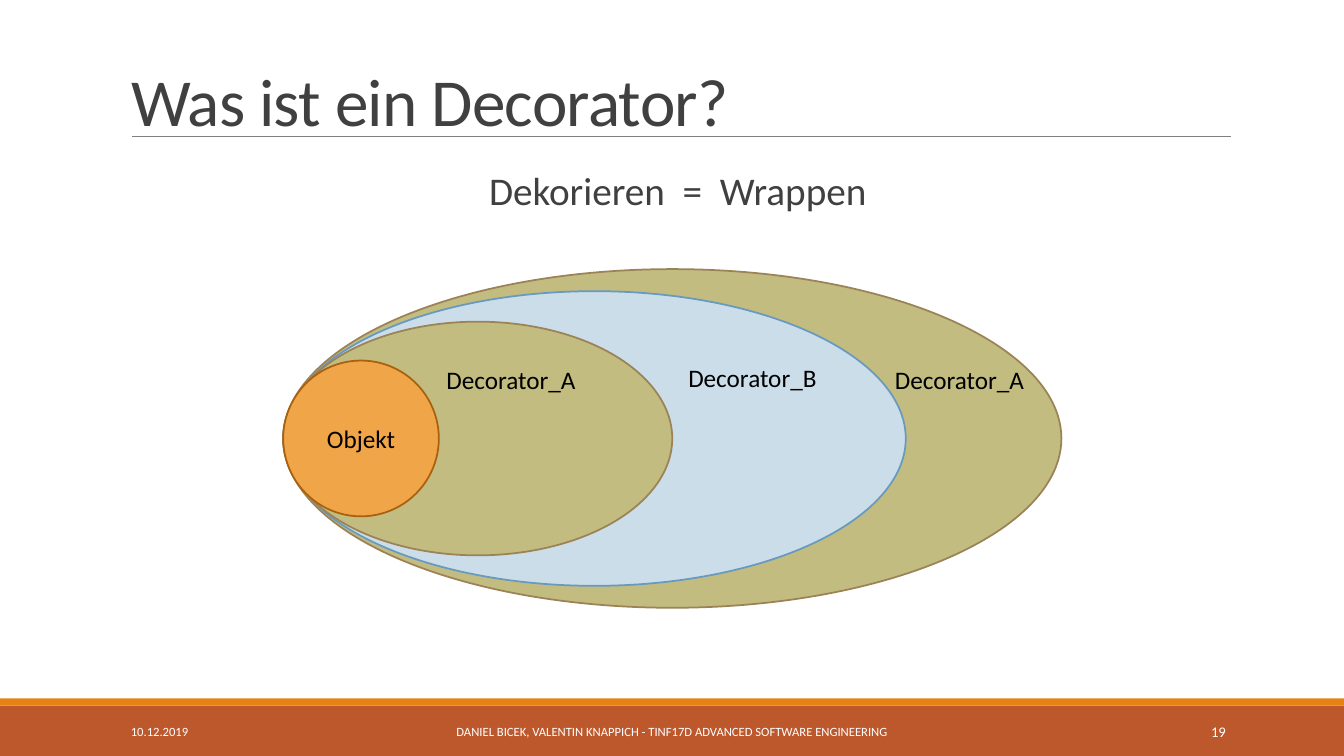
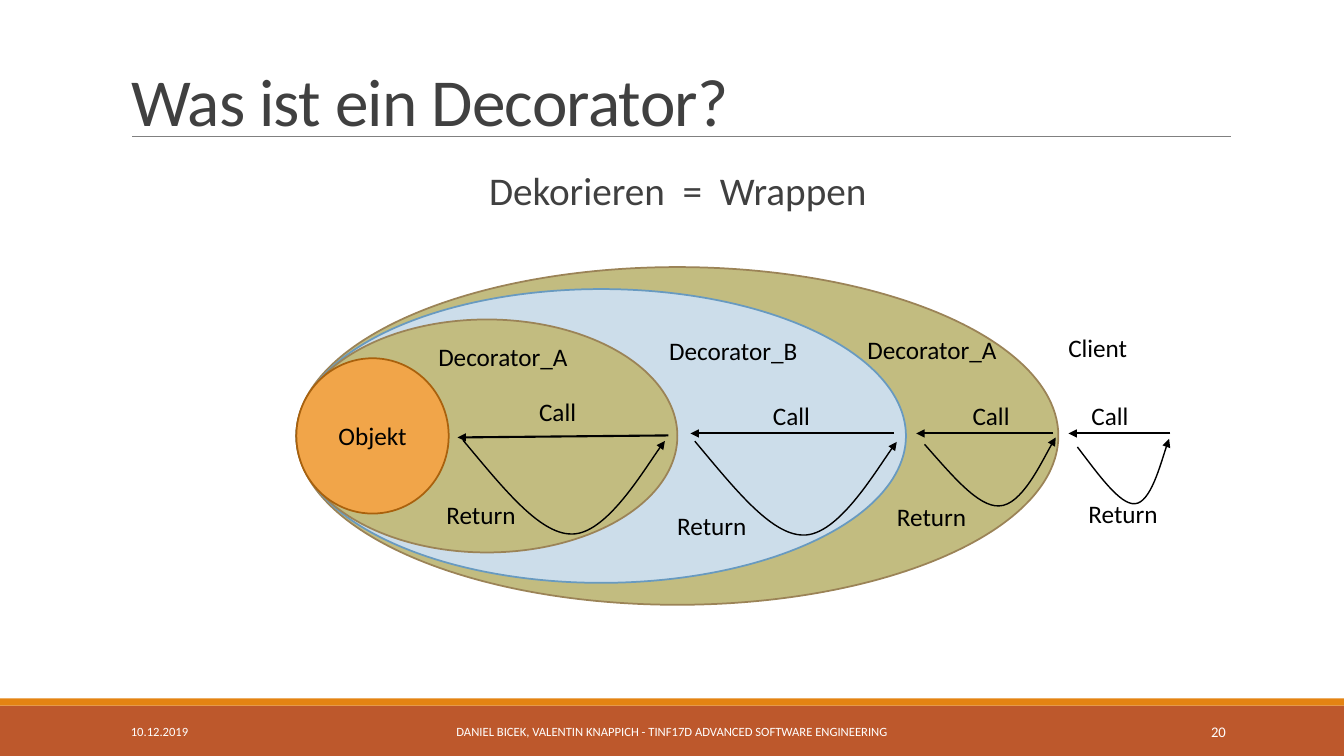
from dataclasses import dataclass

from lxml import etree
from pptx import Presentation
from pptx.dml.color import RGBColor
from pptx.enum.shapes import MSO_CONNECTOR, MSO_SHAPE
from pptx.enum.text import MSO_ANCHOR, MSO_AUTO_SIZE, PP_ALIGN
from pptx.oxml.ns import qn
from pptx.util import Emu, Inches, Pt

STRAIGHT = MSO_CONNECTOR.STRAIGHT
OVAL, RECTANGLE = MSO_SHAPE.OVAL, MSO_SHAPE.RECTANGLE
TOP, MIDDLE, BOTTOM = MSO_ANCHOR.TOP, MSO_ANCHOR.MIDDLE, MSO_ANCHOR.BOTTOM
LEFT, CENTER, RIGHT = PP_ALIGN.LEFT, PP_ALIGN.CENTER, PP_ALIGN.RIGHT
COLUMNS, ROWS = 80, 45
UNIT = Inches(7.5) / ROWS


@dataclass(frozen=True)
class Theme:
    font: str = "Calibri"
    heading: str = "404040"
    text: str = "000000"
    white: str = "FFFFFF"
    rule: str = "808080"
    band: str = "BD582C"
    accent: str = "E48312"
    olive: tuple = ("C2BC80", "9B8357")
    blue: tuple = ("CCDDEA", "689AC0")
    orange: tuple = ("F1A549", "A9610D")
    title_size: float = 48
    body_size: float = 28
    label_size: float = 18
    number_size: float = 10.5
    footer_size: float = 9


@dataclass(frozen=True)
class Box:
    left: float
    top: float
    width: float
    height: float

    def inner(self, column, row, width, height):
        return Box(self.left + column, self.top + row, width, height)

    def emu(self):
        return [grid(value) for value in (self.left, self.top, self.width, self.height)]


THEME = Theme()
TITLE = "Was ist ein Decorator?"
STATEMENT = "Dekorieren  =  Wrappen"
DATE = "10.12.2019"
FOOTER = "DANIEL BICEK, VALENTIN KNAPPICH - TINF17D ADVANCED SOFTWARE ENGINEERING"
FOOTER_ROW = Box(7.2, 42.36, 66.36, 2.4)

LAYERS = [
    (1, 1, THEME.olive),
    (0.8, 0.87, THEME.blue),
    (0.5, 0.69, THEME.olive),
    (0.2, 0.46, THEME.orange),
]
WRAP_BOX = Box(16.86, 16.02, 46.32, 20.16)
WRAP_LABELS = [
    ("Decorator_A", 9.12, 5.4),
    ("Decorator_B", 23.52, 5.28),
    ("Decorator_A", 35.82, 5.4),
]
CALL_BOX = Box(17.64, 15.9, 45.36, 20.1)
CALL_LABELS = [
    ("Decorator_A", 7.86, 4.14),
    ("Decorator_B", 21.6, 3.78),
    ("Decorator_A", 33.4, 3.72),
    ("Client", 45.36, 3.6),
]
CALLS = [
    ((22.14, 10.02, 9.6, 10.14), (10.08, 9.96, 12, 6), -3.2, (13.86, 7.38), (8.34, 13.5)),
    ((35.58, 9.9, 23.46, 9.9), (23.88, 10.02, 12, 6), -3.2, (27.78, 7.62), (22.08, 14.16)),
    ((45.06, 9.9, 36.9, 9.9), (37.62, 10.08, 7.8, 4.2), -6.7, (39.66, 7.62), (35.16, 13.62)),
    ((52.02, 9.9, 45.96, 9.9), (46.8, 10.2, 5.46, 3.96), -10, (46.74, 7.62), (46.56, 13.44)),
]
RETURN_CURVE = [
    (0, 0), (0.18, 0.48), (0.35, 0.97), (0.51, 0.99), (0.68, 1.02), (0.92, 0.3), (1, 0.12),
]


def grid(value):
    return Emu(round(value * UNIT))


def color(value):
    return RGBColor.from_string(value)


def write(shape, text, size=THEME.label_size, ink=THEME.text, align=LEFT, anchor=TOP,
          line_spacing=None, before=0, after=0, tracking=None):
    frame = shape.text_frame
    frame.word_wrap = True
    frame.auto_size = MSO_AUTO_SIZE.NONE
    frame.vertical_anchor = anchor
    paragraph = frame.paragraphs[0]
    paragraph.alignment = align
    paragraph.line_spacing = line_spacing
    paragraph.space_before, paragraph.space_after = Pt(before), Pt(after)
    run = paragraph.add_run()
    run.text = text
    run.font.name, run.font.size = THEME.font, Pt(size)
    run.font.color.rgb = color(ink)
    if tracking is not None:
        run.font._element.set("spc", str(tracking))
    return paragraph


def add_text(slide, box, text, **text_format):
    shape = slide.shapes.add_textbox(*box.emu())
    write(shape, text, **text_format)
    return shape


def add_filled(slide, kind, box, fill, outline=None):
    shape = slide.shapes.add_shape(kind, *box.emu())
    shape.shadow.inherit = False
    shape.fill.solid()
    shape.fill.fore_color.rgb = color(fill)
    if outline:
        shape.line.color.rgb = color(outline)
        shape.line.width = Pt(1.25)
    else:
        shape.line.fill.background()
    return shape


def add_line(slide, start, end, ink, width):
    connector = slide.shapes.add_connector(
        STRAIGHT, *[grid(value) for value in (*start, *end)])
    connector.line.color.rgb = color(ink)
    connector.line.width = Pt(width)
    properties = connector.element.find(qn("p:spPr"))
    etree.SubElement(properties, qn("a:effectLst"))
    return connector


def add_arrowhead(shape):
    outline = shape.element.find(qn("p:spPr")).find(qn("a:ln"))
    etree.SubElement(outline, qn("a:tailEnd"), type="triangle")


def add_curve(slide, box, points, rotation):
    corners = [(grid(box.left + x * box.width), grid(box.top + y * box.height))
               for x, y in points]
    builder = slide.shapes.build_freeform(*corners[0])
    builder.add_line_segments(corners[1:], close=False)
    shape = builder.convert_to_shape()
    outline_path = shape.element.find(".//" + qn("a:path"))
    segments = outline_path.findall(qn("a:lnTo"))
    for index in range(0, len(segments), 3):
        bezier = etree.SubElement(outline_path, qn("a:cubicBezTo"))
        for segment in segments[index:index + 3]:
            bezier.append(segment[0])
            outline_path.remove(segment)
    shape.rotation = rotation
    shape.shadow.inherit = False
    shape.fill.background()
    shape.line.color.rgb = color(THEME.text)
    shape.line.width = Pt(1)
    add_arrowhead(shape)


def move_frame_to_layout(slide, layout):
    parts = [
        add_filled(slide, RECTANGLE, Box(0, 42, COLUMNS, 3), THEME.band),
        add_filled(slide, RECTANGLE, Box(0, 41.58, COLUMNS, 0.42), THEME.accent),
        add_line(slide, (7.86, 8.1), (73.26, 8.1), THEME.rule, 0.5),
        add_text(slide, FOOTER_ROW.inner(0, 0, 16.2, 2.4), DATE,
                 size=THEME.footer_size, ink=THEME.white, anchor=MIDDLE),
        add_text(slide, FOOTER_ROW.inner(16.98, 0, 31.62, 2.4), FOOTER,
                 size=THEME.footer_size, ink=THEME.white, align=CENTER, anchor=MIDDLE),
    ]
    for number, part in enumerate(parts, start=20):
        part.element.find(".//" + qn("p:cNvPr")).set("id", str(number))
        layout.shapes.element.append(part.element)


def place(shape, box):
    shape.left, shape.top, shape.width, shape.height = box.emu()


def fill_placeholders(slide, number):
    title, body = slide.shapes.title, slide.placeholders[1]
    place(title, Box(7.2, 0, 66, 8.64))
    write(title, TITLE, size=THEME.title_size, ink=THEME.heading, anchor=BOTTOM,
          line_spacing=0.85, tracking=-50)
    place(body, Box(7.02, 10.14, 66, 3.06))
    body.text_frame.margin_left = body.text_frame.margin_right = 0
    paragraph = write(body, STATEMENT, size=THEME.body_size, ink=THEME.heading,
                      align=CENTER, line_spacing=0.8, before=12, after=2)
    properties = paragraph._p.get_or_add_pPr()
    properties.set("marL", str(Inches(0.1)))
    properties.set("indent", str(-Inches(0.1)))
    etree.SubElement(properties, qn("a:buChar"), char=" ")
    add_text(slide, FOOTER_ROW.inner(57.78, 0, 8.58, 2.4), number,
             size=THEME.number_size, ink=THEME.white, align=RIGHT, anchor=MIDDLE)


def draw_layers(slide, box, labels):
    for width, height, (fill, outline) in LAYERS:
        layer = box.inner(0, box.height * (1 - height) / 2,
                          box.width * width, box.height * height)
        ellipse = add_filled(slide, OVAL, layer, fill, outline)
    write(ellipse, "Objekt", align=CENTER, anchor=MIDDLE)
    for text, column, row in labels:
        add_text(slide, box.inner(column, row, 12, 2.4), text)


def draw_calls(slide, box):
    for arrow, curve, rotation, call, answer in CALLS:
        start_column, start_row, end_column, end_row = arrow
        connector = add_line(slide, (box.left + start_column, box.top + start_row),
                             (box.left + end_column, box.top + end_row), THEME.text, 1.5)
        add_arrowhead(connector)
        add_curve(slide, box.inner(*curve), RETURN_CURVE, rotation)
        add_text(slide, box.inner(*call, 5.4, 2.94), "Call")
        add_text(slide, box.inner(*answer, 7.8, 2.94), "Return")


def main():
    presentation = Presentation()
    presentation.slide_width, presentation.slide_height = grid(COLUMNS), grid(ROWS)
    layout = presentation.slide_layouts[1]
    wrap_slide, call_slide = [presentation.slides.add_slide(layout) for _ in range(2)]
    move_frame_to_layout(wrap_slide, layout)
    fill_placeholders(wrap_slide, "19")
    draw_layers(wrap_slide, WRAP_BOX, WRAP_LABELS)
    fill_placeholders(call_slide, "20")
    draw_layers(call_slide, CALL_BOX, CALL_LABELS)
    draw_calls(call_slide, CALL_BOX)
    presentation.save("out.pptx")


if __name__ == "__main__":
    main()
